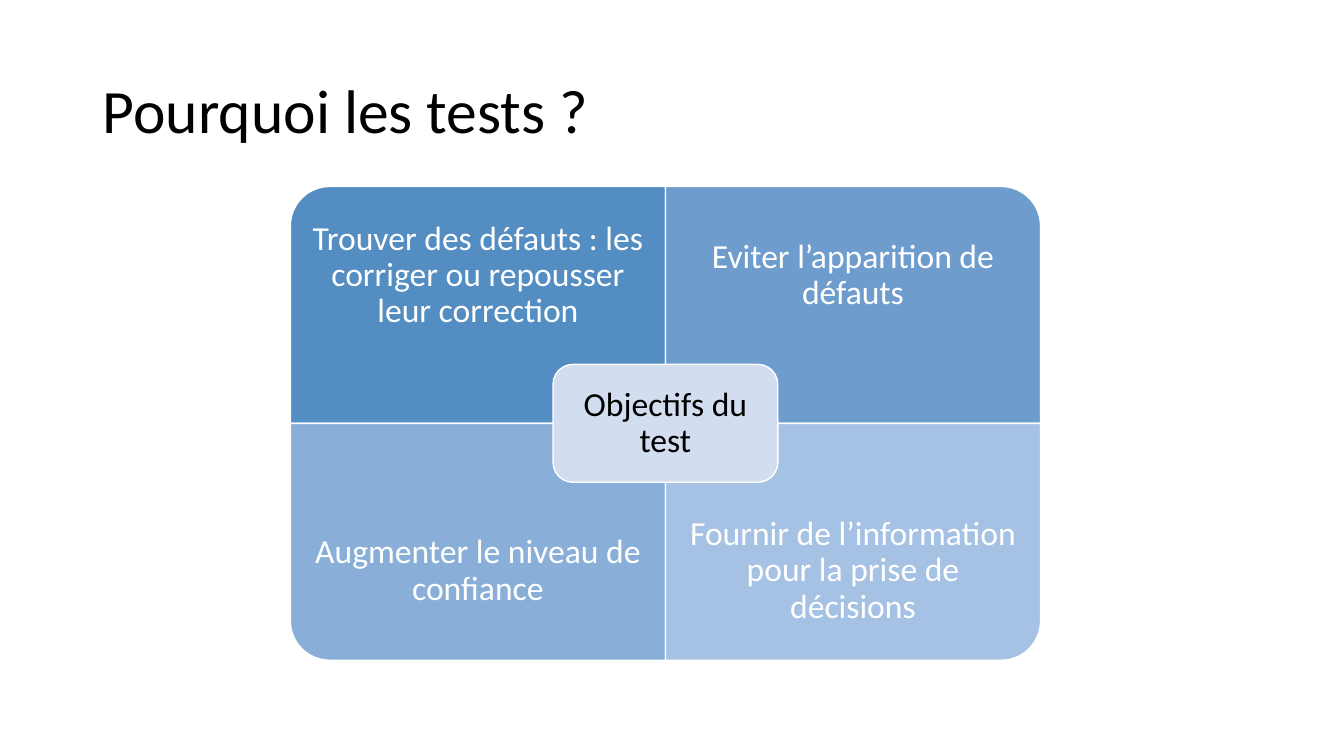
"""Build the slide on test objectives: four quadrants around a central label."""
from math import cos, pi, sin

from pptx import Presentation
from pptx.dml.color import RGBColor
from pptx.enum.shapes import MSO_SHAPE
from pptx.enum.text import MSO_ANCHOR, MSO_AUTO_SIZE, PP_ALIGN
from pptx.util import Inches, Pt

ROUNDED = MSO_SHAPE.ROUNDED_RECTANGLE
MIDDLE = MSO_ANCHOR.MIDDLE
NO_FIT = MSO_AUTO_SIZE.NONE
LEFT, CENTER = PP_ALIGN.LEFT, PP_ALIGN.CENTER

TITLE = "Pourquoi les tests ?"
HUB = "Objectifs du test"
OBJECTIVES = [
    ("Trouver des défauts : les corriger ou repousser leur correction", "538DC1", -1, -1),
    ("Eviter l’apparition de défauts", "6E9DCD", 1, -1),
    ("Augmenter le niveau de confiance", "89AFD8", -1, 1),
    ("Fournir de l’information pour la prise de décisions", "A5C1E3", 1, 1),
]
CENTER_X, CENTER_Y = 6.6, 4.2
QUADRANT_W, QUADRANT_H = 3.72, 2.35
CORNER = 0.39
ARC_STEPS = 16
HUB_W, HUB_H = 2.23, 1.17
PADDING, HUB_SIDE = 0.19, 0.77


def color(hex_code):
    return RGBColor.from_string(hex_code)


def write(frame, text, size, hex_code, align):
    frame.text = text
    frame.word_wrap = True
    frame.auto_size = NO_FIT
    frame.vertical_anchor = MIDDLE
    paragraph = frame.paragraphs[0]
    paragraph.alignment = align
    paragraph.line_spacing = 0.9
    paragraph.font.name = "Calibri"
    paragraph.font.size = Pt(size)
    paragraph.font.color.rgb = color(hex_code)


def style(shape, fill, text, text_color, insets):
    shape.shadow.inherit = False
    shape.fill.solid()
    shape.fill.fore_color.rgb = color(fill)
    shape.line.color.rgb = color("FFFFFF")
    shape.line.width = Pt(1)
    frame = shape.text_frame
    write(frame, text, 24, text_color, CENTER)
    frame.margin_left, frame.margin_top, frame.margin_right, frame.margin_bottom = map(Inches, insets)


def quadrant_points(side_x, side_y):
    reach_x, reach_y = QUADRANT_W - CORNER, QUADRANT_H - CORNER
    angles = [pi / 2 * step / ARC_STEPS for step in range(ARC_STEPS + 1)]
    arc = [(reach_x + CORNER * cos(a), reach_y + CORNER * sin(a)) for a in angles]
    outline = [(0, 0), (QUADRANT_W, 0), *arc, (0, QUADRANT_H)]
    return [(Inches(CENTER_X + side_x * x), Inches(CENTER_Y + side_y * y)) for x, y in outline]


def add_quadrant(shapes, text, fill, side_x, side_y):
    start, *others = quadrant_points(side_x, side_y)
    builder = shapes.build_freeform(*start)
    builder.add_line_segments(others, close=True)
    top, bottom = (PADDING, HUB_SIDE) if side_y < 0 else (HUB_SIDE, PADDING)
    style(builder.convert_to_shape(), fill, text, "FFFFFF", (PADDING, top, PADDING, bottom))


def main():
    deck = Presentation()
    deck.slide_width, deck.slide_height = Inches(13.33), Inches(7.5)
    slide = deck.slides.add_slide(deck.slide_layouts[5])

    title = slide.shapes.title
    title.left, title.top, title.width, title.height = map(Inches, (0.92, 0.4, 11.5, 1.45))
    write(title.text_frame, TITLE, 44, "000000", LEFT)

    for objective in OBJECTIVES:
        add_quadrant(slide.shapes, *objective)

    hub_box = (CENTER_X - HUB_W / 2, CENTER_Y - HUB_H / 2, HUB_W, HUB_H)
    hub = slide.shapes.add_shape(ROUNDED, *map(Inches, hub_box))
    hub.adjustments[0] = 0.17
    style(hub, "D2DEEF", HUB, "000000", (0.1, 0.1, 0.1, 0.1))

    deck.save("out.pptx")


if __name__ == "__main__":
    main()
